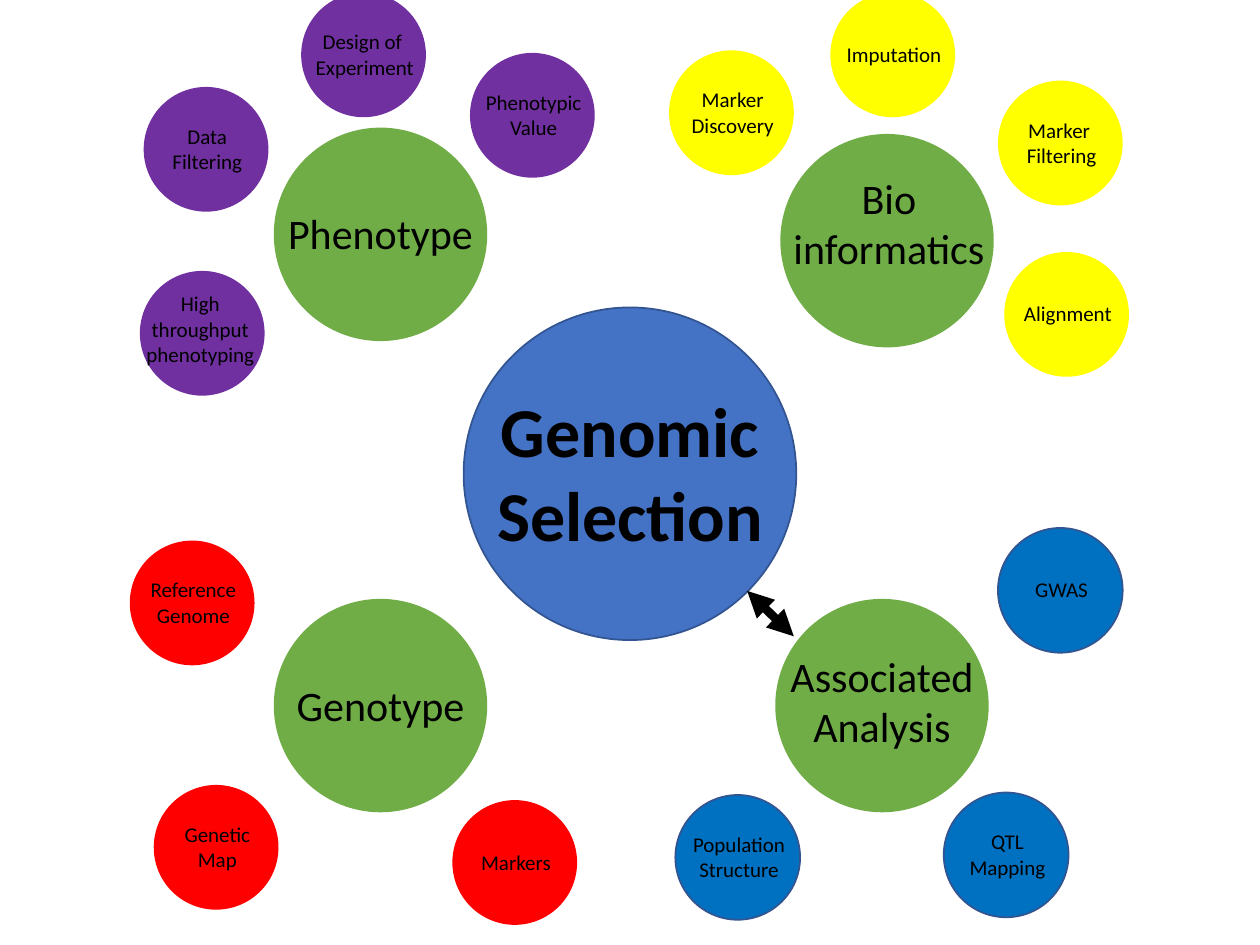
from dataclasses import dataclass

from lxml import etree
from pptx import Presentation
from pptx.dml.color import RGBColor
from pptx.enum.shapes import MSO_CONNECTOR, MSO_SHAPE
from pptx.enum.text import MSO_AUTO_SIZE, PP_ALIGN
from pptx.oxml.ns import qn
from pptx.util import Pt

PX = 9144
OVAL = MSO_SHAPE.OVAL
STRAIGHT = MSO_CONNECTOR.STRAIGHT
GROW = MSO_AUTO_SIZE.SHAPE_TO_FIT_TEXT
CENTER = PP_ALIGN.CENTER


@dataclass(frozen=True)
class Theme:
    """Colours and type sizes of the slide."""
    font: str = "Calibri"
    text: str = "000000"
    core: str = "4472C4"
    outline: str = "325491"
    hub: str = "70AD47"
    phenotype: str = "7030A0"
    bioinformatics: str = "FFFF00"
    genotype: str = "FF0000"
    analysis: str = "0070C0"
    core_size: int = 40
    hub_size: int = 24
    leaf_size: int = 12


@dataclass(frozen=True)
class Label:
    """Paragraphs of a bubble, with the shift and extra width of their box."""
    paragraphs: tuple
    dx: int = 0
    dy: int = 0
    widen: int = 0


THEME = Theme()
CORE_BOX = (368, 244, 264)
HUB_D = 168
LEAF_D = 99

CLUSTERS = [
    (218, 102, Label(("Phenotype",)), THEME.phenotype, None, [
        (21, -108, Label(("Design of ", "Experiment"), 1)),
        (-107, 113, Label(("High throughput phenotyping",), -1, -3, 15)),
        (155, -60, Label(("Phenotypic Value",), 1)),
        (-104, -33, Label(("Data", "Filtering"), 1)),
    ]),
    (218, 476, Label(("Genotype",)), THEME.genotype, None, [
        (-115, -47, Label(("Reference", "Genome"), 1)),
        (-96, 147, Label(("Genetic", "Map"), 1)),
        (141, 159, Label(("Markers",), 1)),
    ]),
    (616, 476, Label(("Associated Analysis",), 0, -3), THEME.analysis, THEME.outline, [
        (133, 153, Label(("QTL Mapping",), 1)),
        (176, -57, Label(("GWAS",), 1)),
        (-80, 155, Label(("Population", "Structure"), 1)),
    ]),
    (620, 107, Label(("Bio", "informatics"), 2, -13, 13), THEME.bioinformatics, None, [
        (177, 93, Label(("Alignment",), 1)),
        (-89, -67, Label(("Marker Discovery",), 1)),
        (39, -113, Label(("Imputation",), 1)),
        (172, -43, Label(("Marker ", "Filtering"), 1)),
    ]),
]


def add_label(group, box, label, size, bold=False):
    """Centre a text box on a bubble, one word or paragraph to a line."""
    x, y, d = box
    paragraphs = label.paragraphs
    lines = len(paragraphs) if len(paragraphs) > 1 else len(paragraphs[0].split())
    width = d + label.widen
    height = round(lines * size * 1.22 / 0.72 + 10)
    left = x + (d - width) // 2 + label.dx
    top = y + (d - height) // 2 + label.dy
    sp = group.shapes.add_textbox(left * PX, top * PX, width * PX, height * PX)
    tf = sp.text_frame
    tf.word_wrap = True
    tf.auto_size = GROW
    for i, text in enumerate(paragraphs):
        p = tf.add_paragraph() if i else tf.paragraphs[0]
        p.alignment = CENTER
        r = p.add_run()
        r.text = text
        r.font.name = THEME.font
        r.font.size = Pt(size)
        r.font.bold = bold
        r.font.color.rgb = RGBColor.from_string(THEME.text)


def add_bubble(group, box, label, fill, line, size, bold=False):
    """Draw a labelled circle in a group."""
    x, y, d = box
    sp = group.shapes.add_shape(OVAL, x * PX, y * PX, d * PX, d * PX)
    sp.shadow.inherit = False
    sp.fill.solid()
    sp.fill.fore_color.rgb = RGBColor.from_string(fill)
    if line:
        sp.line.color.rgb = RGBColor.from_string(line)
        sp.line.width = Pt(1)
    else:
        sp.line.fill.background()
    add_label(group, box, label, size, bold)


def add_cluster(s, group, x, y, label, fill, line, leaves):
    """Draw a hub and the leaves placed relative to its corner."""
    add_bubble(group, (x, y, HUB_D), label, THEME.hub, THEME.hub, THEME.hub_size)
    for dx, dy, leaf in leaves:
        box = (x + dx, y + dy, LEAF_D)
        add_bubble(s.shapes.add_group_shape(), box, leaf, fill, line, THEME.leaf_size)


def add_double_arrow(s, x1, y1, x2, y2):
    """Draw a thick line with an arrowhead at each end."""
    cxn = s.shapes.add_connector(STRAIGHT, x1 * PX, y1 * PX, x2 * PX, y2 * PX)
    cxn.line.color.rgb = RGBColor.from_string(THEME.text)
    cxn.line.width = Pt(5)
    ln = cxn.line._get_or_add_ln()
    for end in ("a:headEnd", "a:tailEnd"):
        etree.SubElement(ln, qn(end), type="triangle")
    etree.SubElement(ln.getparent(), qn("a:effectLst"))


def main():
    """Build and save the slide."""
    prs = Presentation()
    prs.slide_width, prs.slide_height = 1000 * PX, 750 * PX
    s = prs.slides.add_slide(prs.slide_layouts[6])
    group = s.shapes.add_group_shape()
    core = Label(("Genomic Selection",))
    add_bubble(group, CORE_BOX, core, THEME.core, THEME.outline, THEME.core_size, True)
    for cluster in CLUSTERS:
        add_cluster(s, group, *cluster)
    add_double_arrow(s, 593, 469, 630, 505)
    prs.save("out.pptx")


if __name__ == "__main__":
    main()
